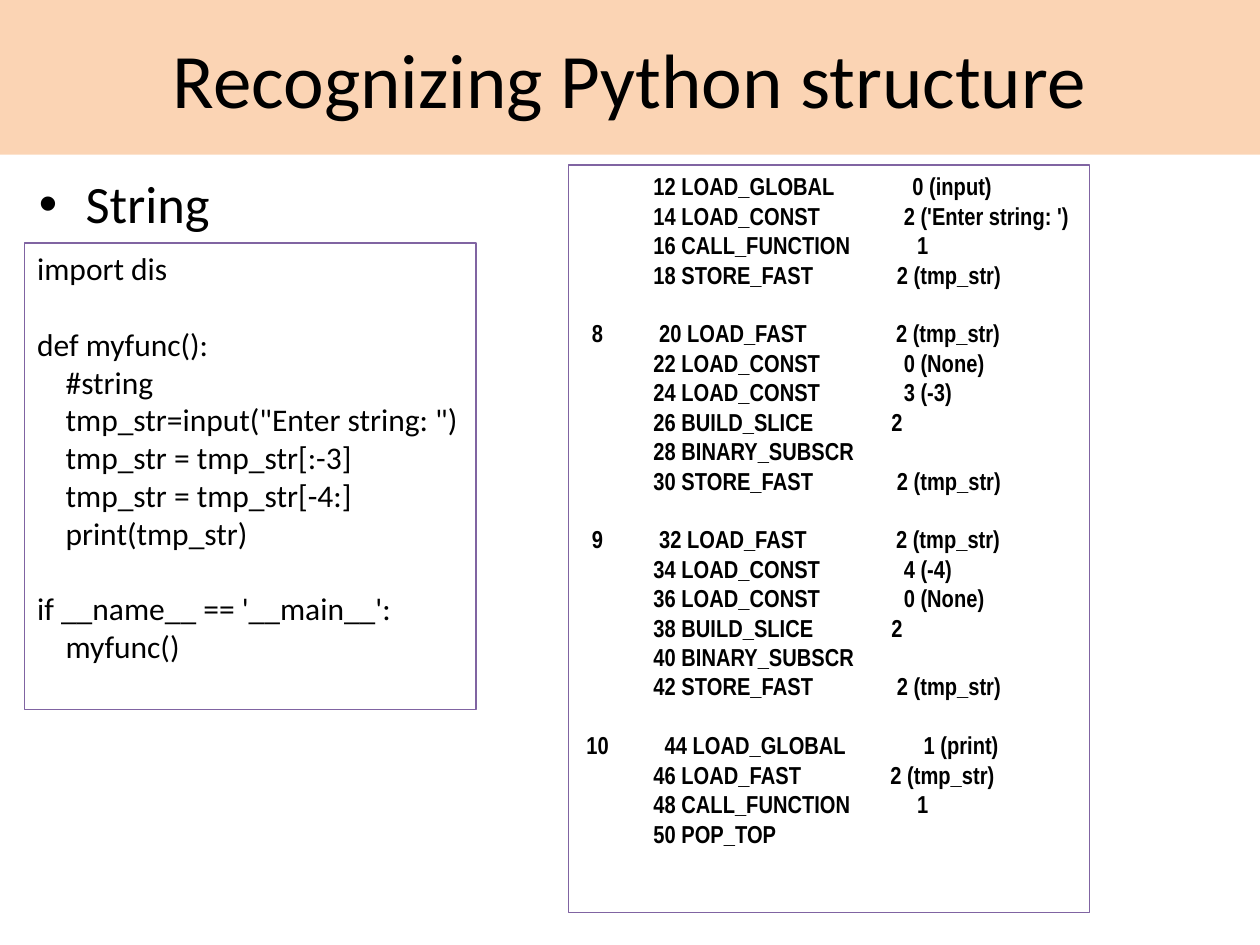
import pptx
import pptx.dml.color
import pptx.enum.shapes
import pptx.enum.text
import pptx.util
from pptx.util import Cm

BLACK = pptx.dml.color.RGBColor(0x00, 0x00, 0x00)
PEACH = pptx.dml.color.RGBColor(0xFB, 0xD4, 0xB4)
PURPLE = pptx.dml.color.RGBColor(0x80, 0x64, 0xA2)

SOURCE_BLOCKS = [
    ["import dis"],
    [
        "def myfunc():",
        "    #string",
        '    tmp_str=input("Enter string: ")',
        "    tmp_str = tmp_str[:-3]",
        "    tmp_str = tmp_str[-4:]",
        "    print(tmp_str)",
    ],
    [
        "if __name__ == '__main__':",
        "    myfunc()",
    ],
]

# Source line, offset of the first instruction, (operation, argument) pairs
INSTRUCTIONS = [
    ("", 12, [
        ("LOAD_GLOBAL", "0 (input)"),
        ("LOAD_CONST", "2 ('Enter string: ')"),
        ("CALL_FUNCTION", "1"),
        ("STORE_FAST", "2 (tmp_str)"),
    ]),
    ("8", 20, [
        ("LOAD_FAST", "2 (tmp_str)"),
        ("LOAD_CONST", "0 (None)"),
        ("LOAD_CONST", "3 (-3)"),
        ("BUILD_SLICE", "2"),
        ("BINARY_SUBSCR", ""),
        ("STORE_FAST", "2 (tmp_str)"),
    ]),
    ("9", 32, [
        ("LOAD_FAST", "2 (tmp_str)"),
        ("LOAD_CONST", "4 (-4)"),
        ("LOAD_CONST", "0 (None)"),
        ("BUILD_SLICE", "2"),
        ("BINARY_SUBSCR", ""),
        ("STORE_FAST", "2 (tmp_str)"),
    ]),
    ("10", 44, [
        ("LOAD_GLOBAL", "1 (print)"),
        ("LOAD_FAST", "2 (tmp_str)"),
        ("CALL_FUNCTION", "1"),
        ("POP_TOP", ""),
    ]),
]


def bytecode_blocks():
    """Lay the instructions out in the fixed columns of a dis listing."""
    blocks = []
    for source_line, first_offset, operations in INSTRUCTIONS:
        block = []
        for index, (operation, argument) in enumerate(operations):
            label = "" if index else source_line
            offset = first_offset + 2 * index
            line = f"{label:>3}{offset:>12} {operation:<24} {argument}"
            block.append(line.rstrip())
        blocks.append(block)
    return blocks


def place(shape, box):
    shape.left, shape.top, shape.width, shape.height = box


def add_span(para, text, size, face="Calibri", bold=False):
    span = para.add_run()
    span.text = text
    span.font.size = pptx.util.Pt(size)
    span.font.name = face
    span.font.bold = bold
    span.font.color.rgb = BLACK


def fill_title(title, box, text):
    place(title, box)
    title.fill.solid()
    title.fill.fore_color.rgb = PEACH
    frame = title.text_frame
    frame.vertical_anchor = pptx.enum.text.MSO_ANCHOR.MIDDLE
    frame.auto_size = pptx.enum.text.MSO_AUTO_SIZE.NONE
    para = frame.paragraphs[0]
    para.alignment = pptx.enum.text.PP_ALIGN.CENTER
    add_span(para, text, 44)


def fill_bullet(body, box, text):
    place(body, box)
    body.text_frame.auto_size = pptx.enum.text.MSO_AUTO_SIZE.NONE
    para = body.text_frame.paragraphs[0]
    para.space_before = pptx.util.Pt(0)
    properties = para._p.get_or_add_pPr()
    properties.set("marL", str(Cm(0.97)))
    properties.set("indent", str(Cm(-0.94)))
    add_span(para, text, 30)


def add_listing(page, box, blocks, size, gap, face="Calibri", bold=False):
    """Outlined code box; each block after the first is set off by a gap."""
    panel = page.shapes.add_shape(pptx.enum.shapes.MSO_SHAPE.RECTANGLE, *box)
    panel.shadow.inherit = False
    panel.fill.background()
    panel.line.color.rgb = PURPLE
    panel.line.width = pptx.util.Pt(0.75)
    frame = panel.text_frame
    frame.word_wrap = True
    frame.vertical_anchor = pptx.enum.text.MSO_ANCHOR.TOP
    for block_index, block in enumerate(blocks):
        for line_index, line in enumerate(block):
            if block_index or line_index:
                para = frame.add_paragraph()
            else:
                para = frame.paragraphs[0]
            para.alignment = pptx.enum.text.PP_ALIGN.LEFT
            if block_index and not line_index:
                para.space_before = pptx.util.Pt(gap)
            add_span(para, line, size, face, bold)


def main():
    deck = pptx.Presentation()
    deck.slide_width, deck.slide_height = Cm(25.4), Cm(19.05)
    page = deck.slides.add_slide(deck.slide_layouts[1])
    title, body = page.placeholders
    fill_title(title, (0, 0, deck.slide_width, Cm(3.12)),
               "Recognizing Python structure")
    fill_bullet(body, (Cm(0.5), Cm(3.33), Cm(24.4), Cm(14.2)), "String")
    add_listing(page, (Cm(0.5), Cm(4.9), Cm(9.1), Cm(9.4)),
                SOURCE_BLOCKS, 18, 21.6)
    add_listing(page, (Cm(11.46), Cm(3.33), Cm(10.5), Cm(15.06)),
                bytecode_blocks(), 14, 16.8, "Arial Narrow", True)
    deck.save("out.pptx")


if __name__ == "__main__":
    main()
